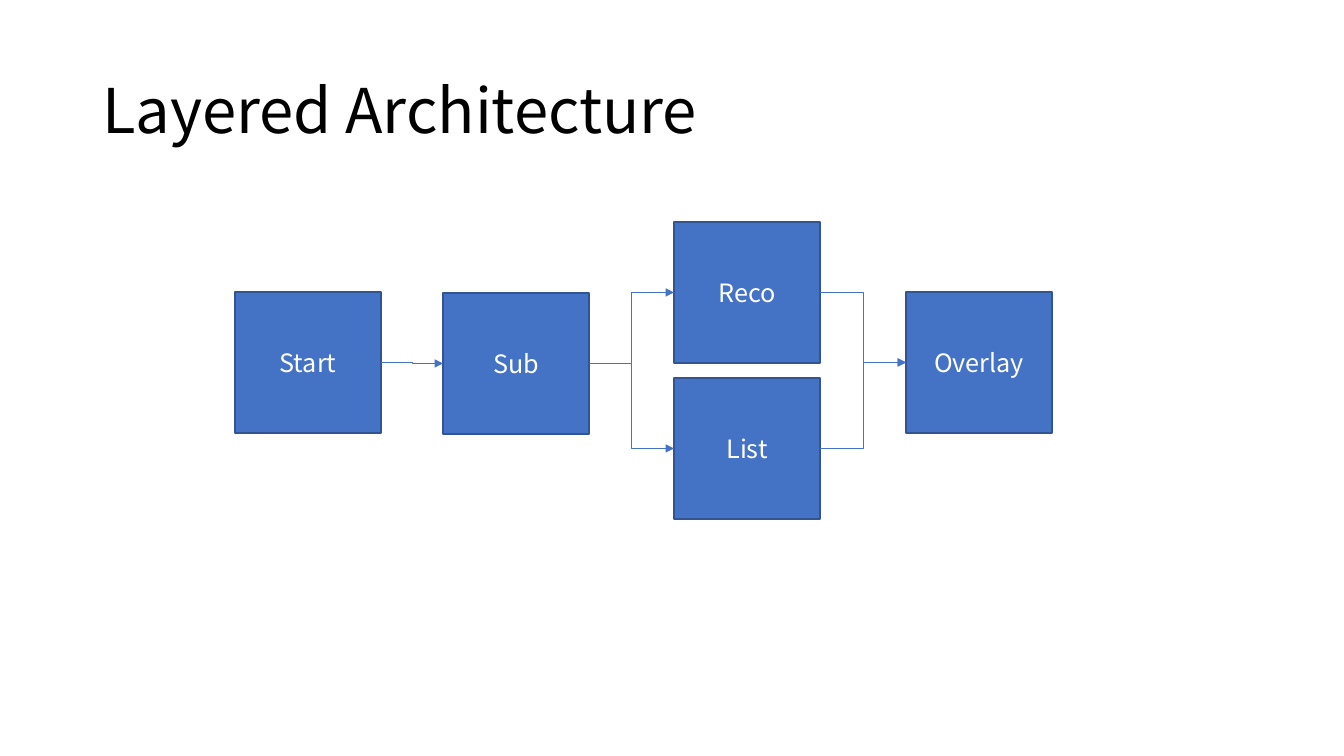
from dataclasses import dataclass

from lxml import etree
from pptx import Presentation
from pptx import util as u
from pptx.dml.color import RGBColor
from pptx.enum import shapes, text
from pptx.oxml.ns import qn

PX = u.Inches(1) / 100.8


@dataclass(frozen=True)
class Theme:
    font: str = "Noto Sans CJK KR"
    title_size: int = 44
    box_size: int = 18
    title: str = "000000"
    label: str = "FFFFFF"
    fill: str = "4472C4"
    outline: str = "325491"
    outline_width: float = 1
    arrow_width: float = 0.5


@dataclass(frozen=True)
class Box:
    label: str
    x: int
    y: int


THEME = Theme()
BOX_W, BOX_H = 146, 141
LEFT_SITE, RIGHT_SITE = 1, 3

BOXES = [
    Box("Start", 235, 292),
    Box("Sub", 443, 293),
    Box("Reco", 674, 222),
    Box("List", 674, 378),
    Box("Overlay", 906, 292),
]
FLOWS = [
    ("Start", "Sub"),
    ("Sub", "Reco"),
    ("Sub", "List"),
    ("Reco", "Overlay"),
    ("List", "Overlay"),
]


def emu(pixels: float) -> u.Emu:
    return u.Emu(round(pixels * PX))


def rgb(value: str) -> RGBColor:
    return RGBColor.from_string(value)


def write(sp, content: str, *, size: int, color: str, align, spacing: float = 1.0) -> None:
    tf = sp.text_frame
    tf.word_wrap = True
    tf.auto_size = text.MSO_AUTO_SIZE.NONE
    tf.vertical_anchor = text.MSO_ANCHOR.MIDDLE
    p = tf.paragraphs[0]
    p.alignment = align
    p.line_spacing = spacing
    r = p.add_run()
    r.text = content
    r.font.name = THEME.font
    r.font.size = u.Pt(size)
    r.font.color.rgb = rgb(color)


def add_box(s, box: Box):
    sp = s.shapes.add_shape(shapes.MSO_SHAPE.RECTANGLE,
                            *map(emu, (box.x, box.y, BOX_W, BOX_H)))
    sp.shadow.inherit = False
    sp.fill.solid()
    sp.fill.fore_color.rgb = rgb(THEME.fill)
    sp.line.color.rgb = rgb(THEME.outline)
    sp.line.width = u.Pt(THEME.outline_width)
    write(sp, box.label, size=THEME.box_size, color=THEME.label,
          align=text.PP_ALIGN.CENTER)
    return sp


def add_flow(s, source, target) -> None:
    # Start at the joined edges so the connector keeps its true extent
    ends = (source.left + source.width, source.top + source.height // 2,
            target.left, target.top + target.height // 2)
    line = s.shapes.add_connector(shapes.MSO_CONNECTOR.ELBOW, *ends)
    line.begin_connect(source, RIGHT_SITE)
    line.end_connect(target, LEFT_SITE)
    line.line.color.rgb = rgb(THEME.fill)
    line.line.width = u.Pt(THEME.arrow_width)
    props = line._element.spPr
    etree.SubElement(props.find(qn("a:ln")), qn("a:tailEnd"), type="triangle")
    etree.SubElement(props, qn("a:effectLst"))


prs = Presentation()
prs.slide_width, prs.slide_height = emu(1344), emu(756)
s = prs.slides.add_slide(prs.slide_layouts[5])

# Title
title = s.shapes.title
title.left, title.top, title.width, title.height = map(emu, (92, 41, 1159, 146))
write(title, "Layered Architecture", size=THEME.title_size, color=THEME.title,
      align=text.PP_ALIGN.LEFT, spacing=0.9)

# Layers and the flow between them
layers = {box.label: add_box(s, box) for box in BOXES}
for source, target in FLOWS:
    add_flow(s, layers[source], layers[target])

prs.save("out.pptx")
